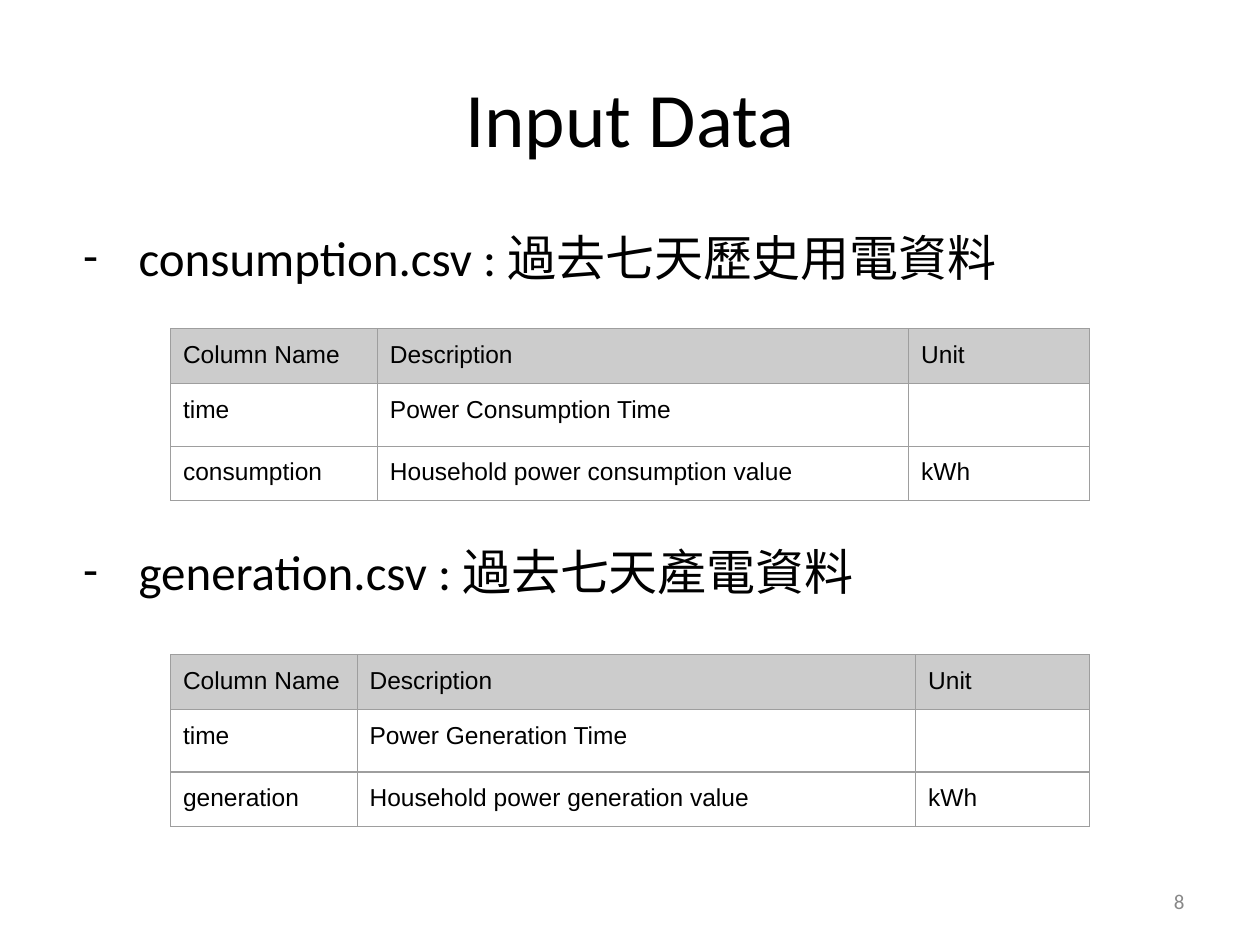
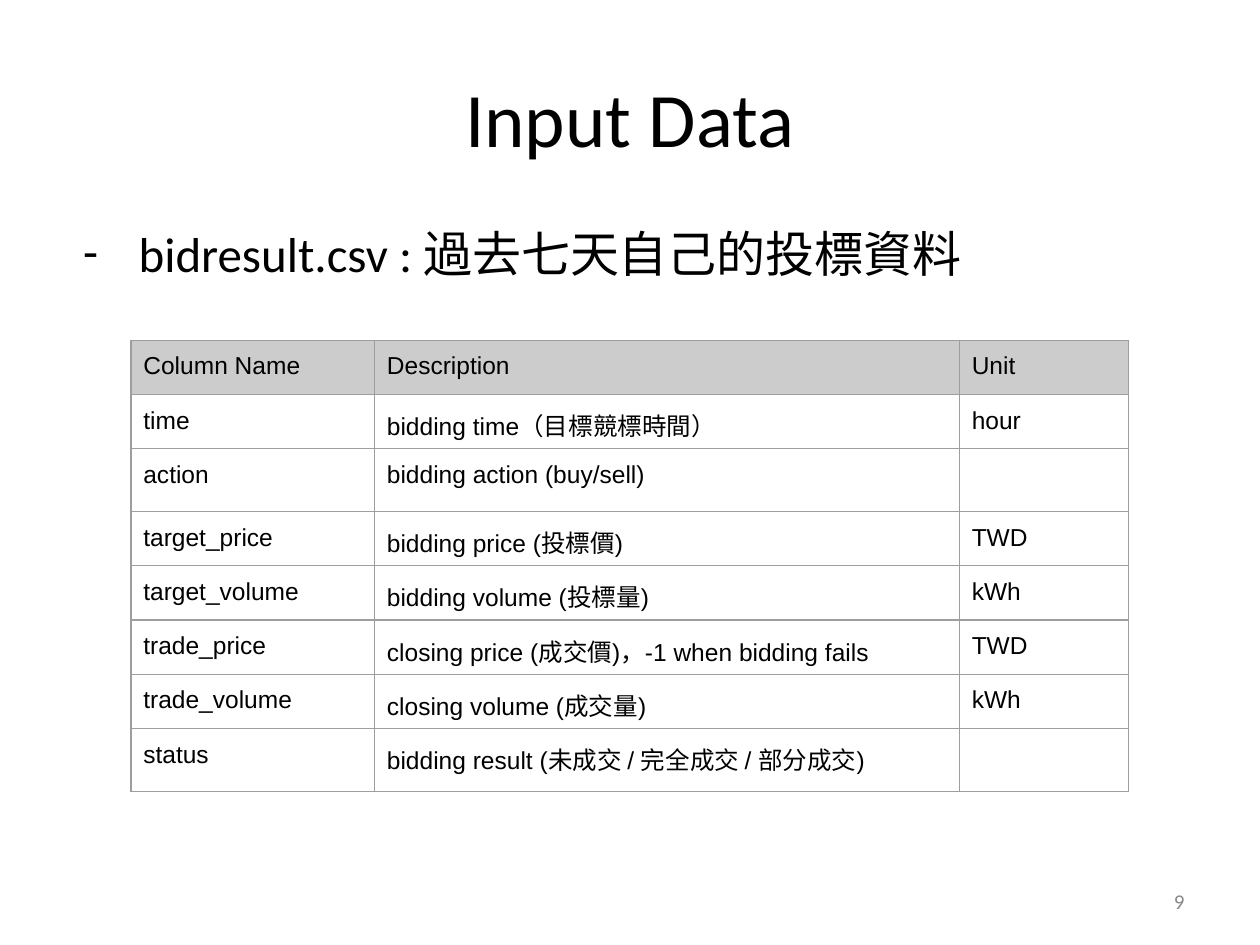
from lxml.etree import SubElement
from pptx import Presentation
from pptx.dml.color import RGBColor
from pptx.enum.text import MSO_ANCHOR as Anchor, MSO_AUTO_SIZE as AutoSize, PP_ALIGN as Align
from pptx.oxml.ns import qn
from pptx.util import Cm, Pt

BLACK = RGBColor(0x00, 0x00, 0x00)
PAGE_GREY = RGBColor(0x88, 0x88, 0x88)
HEADER_GREY = RGBColor(0xCC, 0xCC, 0xCC)
BORDER_GREY = RGBColor(0x9E, 0x9E, 0x9E)
HEADING_FONT, TABLE_FONT = "Calibri", "Arial"
HEADER = ("Column Name", "Description", "Unit")

# Boxes in cm: left, top, width, height
TITLE_BOX = (1.27, 0.76, 22.86, 3.18)
PAGE_BOX = (18.21, 17.65, 5.92, 1.02)


def place(shape, box):
    shape.left, shape.top, shape.width, shape.height = map(Cm, box)


def add_run(paragraph, text, size, font=HEADING_FONT, color=BLACK):
    run = paragraph.add_run()
    run.text = text
    run.font.size = Pt(size)
    run.font.name = font
    run.font.color.rgb = color


def add_title(slide, text, box):
    title = slide.shapes.title
    place(title, box)
    frame = title.text_frame
    frame.auto_size = AutoSize.NONE
    frame.vertical_anchor = Anchor.MIDDLE
    paragraph = frame.paragraphs[0]
    paragraph.alignment = Align.CENTER
    add_run(paragraph, text, 44)


def add_dash(paragraph):
    properties = paragraph._p.get_or_add_pPr()
    properties.set("marL", str(Cm(1.27)))
    properties.set("indent", str(-Cm(1.12)))
    color = SubElement(properties, qn("a:buClr"))
    SubElement(color, qn("a:srgbClr"), val=str(BLACK))
    SubElement(properties, qn("a:buFont"), typeface=HEADING_FONT)
    SubElement(properties, qn("a:buChar"), char="-")


def add_file_list(slide, files, box, gap=0):
    """List the file names, leaving a gap in points for the table between two."""
    body = slide.placeholders[1]
    place(body, box)
    frame = body.text_frame
    frame.auto_size = AutoSize.NONE
    for index, text in enumerate(files):
        paragraph = frame.add_paragraph() if index else frame.paragraphs[0]
        add_dash(paragraph)
        paragraph.space_before = Pt(gap if index else 0)
        add_run(paragraph, text, 28)


def add_page_number(slide, number, box):
    text_box = slide.shapes.add_textbox(*map(Cm, box))
    frame = text_box.text_frame
    frame.word_wrap = True
    frame.vertical_anchor = Anchor.MIDDLE
    paragraph = frame.paragraphs[0]
    paragraph.alignment = Align.RIGHT
    add_run(paragraph, str(number), 12, color=PAGE_GREY)


def add_borders(cell):
    properties = cell._tc.get_or_add_tcPr()
    for side in ("lnL", "lnR", "lnT", "lnB"):
        line = SubElement(properties, qn(f"a:{side}"), w=str(Pt(0.75)))
        fill = SubElement(line, qn("a:solidFill"))
        SubElement(fill, qn("a:srgbClr"), val=str(BORDER_GREY))


def format_cell(cell, text, is_header):
    cell.margin_left = cell.margin_right = Cm(0.25)
    cell.margin_top = cell.margin_bottom = Cm(0.25)
    add_borders(cell)
    if is_header:
        cell.fill.solid()
        cell.fill.fore_color.rgb = HEADER_GREY
    else:
        cell.fill.background()
    if text:
        add_run(cell.text_frame.paragraphs[0], text, 14, TABLE_FONT)


def add_column_table(slide, fields, left, top, widths, row_height):
    rows = [HEADER, *fields]
    frame = slide.shapes.add_table(
        len(rows), len(widths), Cm(left), Cm(top),
        Cm(sum(widths)), Cm(row_height * len(rows)))
    table = frame.table
    table.first_row = table.horz_banding = False
    for column, width in zip(table.columns, widths):
        column.width = Cm(width)
    for row_index, values in enumerate(rows):
        table.rows[row_index].height = Cm(row_height)
        for column_index, text in enumerate(values):
            format_cell(table.cell(row_index, column_index), text, row_index == 0)


def add_data_slide(presentation, number, files, list_box, gap=0):
    slide = presentation.slides.add_slide(presentation.slide_layouts[1])
    add_title(slide, "Input Data", TITLE_BOX)
    add_file_list(slide, files, list_box, gap)
    add_page_number(slide, number, PAGE_BOX)
    return slide


def build_power_slide(presentation):
    files = ("consumption.csv : 過去七天歷史用電資料", "generation.csv : 過去七天產電資料")
    slide = add_data_slide(presentation, 8, files, (1.27, 4.45, 22.86, 12.57), gap=146)
    tables = (
        ("consumption", 6.63, (4.17, 10.71, 3.65)),
        ("generation", 13.2, (3.76, 11.26, 3.51)),
    )
    for name, top, widths in tables:
        fields = (
            ("time", f"Power {name.title()} Time", ""),
            (name, f"Household power {name} value", "kWh"),
        )
        add_column_table(slide, fields, 3.44, top, widths, 1.1)


def build_bid_slide(presentation):
    files = ("bidresult.csv : 過去七天自己的投標資料",)
    slide = add_data_slide(presentation, 9, files, (1.27, 4.37, 22.86, 13.08))
    fields = (
        ("time", "bidding time（目標競標時間）", "hour"),
        ("action", "bidding action (buy/sell)", ""),
        ("target_price", "bidding price (投標價)", "TWD"),
        ("target_volume", "bidding volume (投標量)", "kWh"),
        ("trade_price", "closing price (成交價)，-1 when bidding fails", "TWD"),
        ("trade_volume", "closing volume (成交量)", "kWh"),
        ("status", "bidding result (未成交 / 完全成交 / 部分成交)", ""),
    )
    add_column_table(slide, fields, 2.64, 6.86, (4.91, 11.79, 3.41), 1.07)


def main():
    presentation = Presentation()
    presentation.slide_width, presentation.slide_height = Cm(25.4), Cm(19.05)
    build_power_slide(presentation)
    build_bid_slide(presentation)
    presentation.save("out.pptx")


if __name__ == "__main__":
    main()
